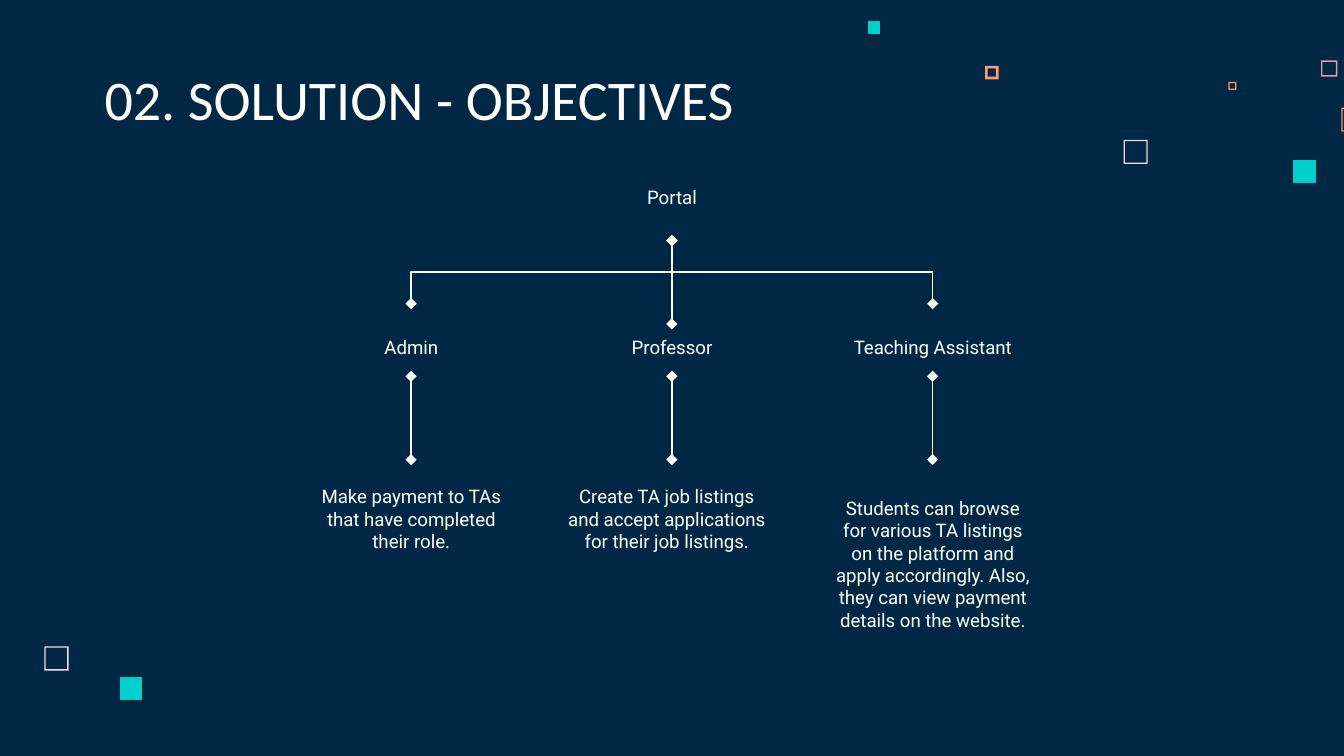
"""Build the objectives slide: a portal tree with three roles and their tasks."""
from lxml.etree import SubElement
from pptx import Presentation
from pptx.dml.color import RGBColor
from pptx.enum.shapes import MSO_CONNECTOR
from pptx.enum.text import MSO_ANCHOR, PP_ALIGN
from pptx.oxml.ns import qn
from pptx.util import Inches, Pt

TITLE = "02. SOLUTION - OBJECTIVES"
ROOT = "Portal"
ROLES = [
    ("Admin", "Make payment to TAs that have completed their role.", 0.64, 0),
    ("Professor", "Create TA job listings and accept applications for their job listings.", 0.64, -0.04),
    ("Teaching Assistant", "Students can browse for various TA listings on the platform and apply "
     "accordingly. Also, they can view payment details on the website.", 1.31, 0),
]
FRAMES = [
    (8.36, 1.04, 0.18, "pink", 0.01), (9.83, 0.45, 0.12, "rose", 0.01),
    (9.14, 0.61, 0.06, "peach", 0.01), (9.98, 0.8, 0.18, "peach", 0.01),
    (7.33, 0.49, 0.1, "peach", 0.02), (0.33, 4.81, 0.18, "pink", 0.01),
]
BLOCKS = [(9.62, 1.19, 0.17), (6.46, 0.16, 0.09), (0.89, 5.04, 0.17)]
THEME = {
    "back": "002845", "text": "FFFFFF", "pink": "FFD6E1", "rose": "E898AC",
    "peach": "FF9973", "teal": "00CFCC", "head": ("Calibri", 30), "body": ("Roboto", 10),
    "line": 0.75,
}
WIDE = 10
HIGH = WIDE * 9 / 16
MID, GAP, BOX, ROW = WIDE / 2, 1.94, 1.68, 0.64
ROWS = {"root": 1.15, "role": 2.26, "task": 3.54}


def tint(name):
    return RGBColor.from_string(THEME[name])


def square(slide, left, top, size, color, wall=0):
    def ring(inset):
        low, far = inset, size - inset
        spots = [(low, low), (low, far), (far, far), (far, low)]
        return [(Inches(left + x), Inches(top + y)) for x, y in spots]

    outer = ring(0)
    pen = slide.shapes.build_freeform(*outer[0])
    pen.add_line_segments(outer[1:], close=True)
    if wall:
        inner = ring(wall)[::-1]
        pen.move_to(*inner[0])
        pen.add_line_segments(inner[1:], close=True)
    shape = pen.convert_to_shape()
    shape.shadow.inherit = False
    shape.fill.solid()
    shape.fill.fore_color.rgb = tint(color)
    shape.line.fill.background()


def label(slide, text, left, top, width, height, style="body",
          align=PP_ALIGN.CENTER, anchor=MSO_ANCHOR.MIDDLE):
    frame = slide.shapes.add_textbox(*map(Inches, (left, top, width, height))).text_frame
    frame.word_wrap = True
    frame.vertical_anchor = anchor
    frame.margin_left = frame.margin_right = Inches(0.1)
    frame.margin_top = frame.margin_bottom = Inches(0.1)
    para = frame.paragraphs[0]
    para.alignment = align
    run = para.add_run()
    run.text = text
    run.font.name, size = THEME[style]
    run.font.size = Pt(size)
    run.font.color.rgb = tint("text")


def link(slide, start, end):
    (left, top), (right, low) = start, end
    x, y = (left + right) / 2, (top + low) / 2
    run, drop = (right - left) / 2, (low - top) / 2
    ends = map(Inches, (x + drop, y - run, x - drop, y + run))
    wire = slide.shapes.add_connector(MSO_CONNECTOR.ELBOW, *ends)
    wire.rotation = 270
    wire.line.color.rgb = tint("text")
    wire.line.width = Pt(THEME["line"])
    pen = wire.line._get_or_add_ln()
    for tag in ("a:headEnd", "a:tailEnd"):
        SubElement(pen, qn(tag), type="diamond", w="med", len="med")
    SubElement(wire._element.spPr, qn("a:effectLst"))


def main():
    deck = Presentation()
    deck.slide_width, deck.slide_height = Inches(WIDE), Inches(HIGH)
    slide = deck.slides.add_slide(deck.slide_layouts[6])
    slide.background.fill.solid()
    slide.background.fill.fore_color.rgb = tint("back")

    for frame in FRAMES:
        square(slide, *frame)
    for left, top, size in BLOCKS:
        square(slide, left, top, size, "teal")

    label(slide, TITLE, 0.68, 0.45, 5.17, 0.63, "head", PP_ALIGN.LEFT, MSO_ANCHOR.BOTTOM)
    label(slide, ROOT, MID - BOX / 2, ROWS["root"], BOX, ROW)
    fork = ROWS["root"] + ROW
    for col, (role, task, tall, shift) in enumerate(ROLES):
        x = MID + (col - 1) * GAP
        left = x - BOX / 2
        link(slide, (MID, fork), (x, ROWS["role"] + (0.15 if x == MID else 0)))
        link(slide, (x, 2.8), (x, 3.42))
        label(slide, role, left, ROWS["role"], BOX, ROW)
        label(slide, task, left + shift, ROWS["task"], BOX, tall)
    deck.save("out.pptx")


if __name__ == "__main__":
    main()
